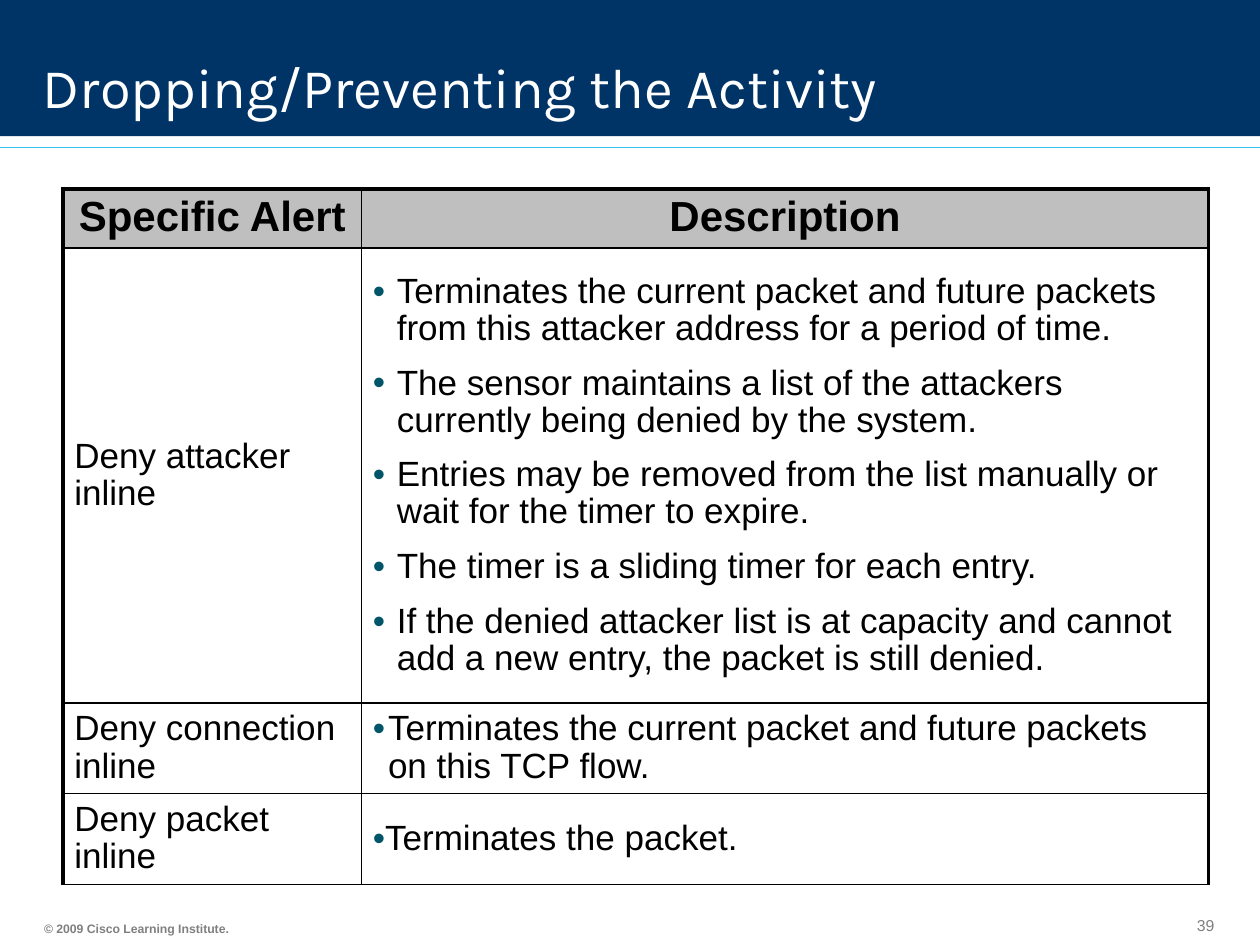
from dataclasses import dataclass
from typing import Any

from lxml import etree
from pptx import Presentation
from pptx.dml.color import RGBColor
from pptx.enum import shapes, text
from pptx.oxml import ns
from pptx.util import Pt

SCALE = 9144
LEFT, MID = text.PP_ALIGN.LEFT, text.PP_ALIGN.CENTER
INSET = {"margin_left": 9, "margin_right": 9, "margin_top": 4, "margin_bottom": 4}
THIN, THICK = 1, 2.25


@dataclass
class Style:
    size: float
    hue: str = "000000"
    bold: bool = False
    face: str = "Arial"
    align: Any = LEFT
    line: float = 1.0


@dataclass
class Note:
    words: str
    box: tuple[int, int, int, int]
    style: Style


@dataclass
class Row:
    alert: str
    facts: list[str]
    high: int
    hang: int


HEAD = Style(24, bold=True, align=MID, line=0.95)
BODY = Style(20, line=0.95)
TITLE = Style(32, "FFFFFF", face="Karla", line=0.9)
NOTES = [
    Note("39", (941, 722, 33, 24), Style(9, "808080")),
    Note("© 2009 Cisco Learning Institute.", (26, 726, 166, 21), Style(7, "808080", True)),
]
COLS = [237, 672]
HEADS = ["Specific Alert", "Description"]
TOP = 47
ROWS = [
    Row("Deny attacker inline", [
        "Terminates the current packet and future packets from this attacker address for a period of time.",
        "The sensor maintains a list of the attackers currently being denied by the system.",
        "Entries may be removed from the list manually or wait for the timer to expire.",
        "The timer is a sliding timer for each entry.",
        "If the denied attacker list is at capacity and cannot add a new entry, the packet is still denied.",
    ], 361, 19),
    Row("Deny connection inline", [
        "Terminates the current packet and future packets on this TCP flow.",
    ], 72, 12),
    Row("Deny packet inline", ["Terminates the packet."], 72, 0),
]


def px(n: int) -> int:
    return n * SCALE


def tint(code: str) -> RGBColor:
    return RGBColor.from_string(code)


def put(item: Any, vals: dict[str, Any]) -> None:
    for key, val in vals.items():
        setattr(item, key, val)


def pad(item: Any) -> None:
    put(item, {key: px(val) for key, val in INSET.items()})


def node(root: Any, tag: str, **vals: str) -> Any:
    return etree.SubElement(root, ns.qn(tag), **vals)


def bullet(para: Any, hang: int) -> None:
    props = para._p.get_or_add_pPr()
    props.set("marL", str(px(hang)))
    props.set("indent", str(px(-hang)))
    node(node(props, "a:buClr"), "a:srgbClr", val="005569")
    node(props, "a:buFont", typeface="Arial")
    node(props, "a:buChar", char="•")


def write(frame: Any, lines: list[str], style: Style, hang: int | None = None) -> None:
    for i, words in enumerate(lines):
        para = frame.add_paragraph() if i else frame.paragraphs[0]
        if hang is not None:
            bullet(para, hang)
        put(para, {"alignment": style.align, "line_spacing": style.line,
                   "space_before": Pt(10 if i else 0)})
        run = para.add_run()
        run.text = words
        put(run.font, {"size": Pt(style.size), "bold": style.bold, "name": style.face})
        run.font.color.rgb = tint(style.hue)


def edge(cell: Any, sides: dict[str, float]) -> None:
    props = cell._tc.get_or_add_tcPr()
    for side, wide in sides.items():
        line = node(props, f"a:ln{side}", w=str(Pt(wide)))
        node(node(line, "a:solidFill"), "a:srgbClr", val="000000")


def fill(cell: Any, row: int, col: int) -> None:
    edge(cell, {"L": THIN if col else THICK, "R": THICK if col else THIN,
                "T": THIN if row else THICK, "B": THIN})
    cell.fill.solid()
    cell.fill.fore_color.rgb = tint("FFFFFF" if row else "BFBFBF")
    pad(cell)
    cell.vertical_anchor = text.MSO_ANCHOR.MIDDLE


def band(slide: Any) -> None:
    bar = slide.shapes.add_shape(shapes.MSO_SHAPE.RECTANGLE, 0, 0, px(1000), px(108))
    bar.shadow.inherit = False
    bar.fill.solid()
    bar.fill.fore_color.rgb = tint("003366")
    bar.line.fill.background()
    rule = slide.shapes.add_connector(shapes.MSO_CONNECTOR.STRAIGHT, 0, px(117), px(1000), px(117))
    rule.line.color.rgb = tint("35C3EE")
    rule.line.width = Pt(0.75)
    node(rule.element.spPr, "a:effectLst")


def label(slide: Any, note: Note) -> None:
    frame = slide.shapes.add_textbox(*map(px, note.box)).text_frame
    pad(frame)
    put(frame, {"word_wrap": False, "vertical_anchor": text.MSO_ANCHOR.BOTTOM})
    write(frame, [note.words], note.style)


def title(slide: Any, words: str) -> None:
    head = slide.shapes.title
    put(head, {"left": px(25), "top": px(8), "width": px(933), "height": px(92)})
    head.element.getparent().append(head.element)
    pad(head.text_frame)
    put(head.text_frame, {"word_wrap": True, "vertical_anchor": text.MSO_ANCHOR.BOTTOM})
    write(head.text_frame, [words], TITLE)


def grid(slide: Any) -> None:
    highs = [TOP] + [row.high for row in ROWS]
    table = slide.shapes.add_table(len(highs), len(COLS), px(50), px(150),
                                   px(sum(COLS)), px(sum(highs))).table
    put(table, {"first_row": False, "horz_banding": False})
    for col, wide in zip(table.columns, COLS):
        col.width = px(wide)
    for i, high in enumerate(highs):
        table.rows[i].height = px(high)
        for j in range(len(COLS)):
            fill(table.cell(i, j), i, j)
    for j, words in enumerate(HEADS):
        write(table.cell(0, j).text_frame, [words], HEAD)
    for i, row in enumerate(ROWS, 1):
        write(table.cell(i, 0).text_frame, [row.alert], BODY)
        write(table.cell(i, 1).text_frame, row.facts, BODY, row.hang)


def main() -> None:
    deck = Presentation()
    put(deck, {"slide_width": px(1000), "slide_height": px(750)})
    slide = deck.slides.add_slide(deck.slide_layouts[5])
    band(slide)
    for note in NOTES:
        label(slide, note)
    title(slide, "Dropping/Preventing the Activity")
    grid(slide)
    deck.save("out.pptx")


if __name__ == "__main__":
    main()
